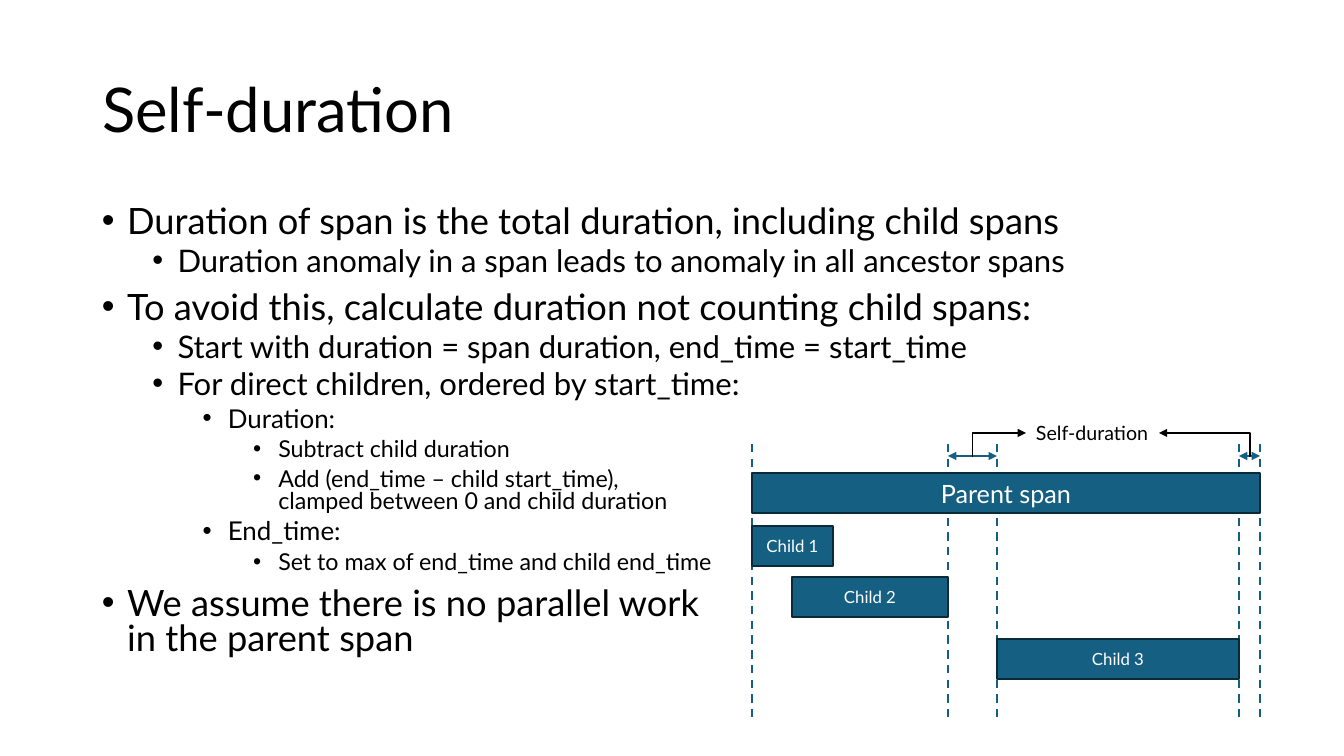
from lxml import etree
from pptx import Presentation
from pptx.dml.color import RGBColor
from pptx.enum.dml import MSO_LINE
from pptx.enum.shapes import MSO_CONNECTOR, MSO_SHAPE
from pptx.enum.text import MSO_ANCHOR, PP_ALIGN
from pptx.oxml.ns import qn
from pptx.util import Pt

STRAIGHT, ELBOW = MSO_CONNECTOR.STRAIGHT, MSO_CONNECTOR.ELBOW
RECT, DASH = MSO_SHAPE.RECTANGLE, MSO_LINE.DASH
MIDDLE, TOP = MSO_ANCHOR.MIDDLE, MSO_ANCHOR.TOP
LEFT, CENTER = PP_ALIGN.LEFT, PP_ALIGN.CENTER

BLACK = RGBColor(0x00, 0x00, 0x00)
WHITE = RGBColor(0xFF, 0xFF, 0xFF)
BLUE = RGBColor(0x15, 0x60, 0x82)
NAVY = RGBColor(0x09, 0x2A, 0x39)
FONT = "Lato"
PX = 914400 / 100.8

TITLE = "Self-duration"
BULLETS = [  # level, text
    (0, "Duration of span is the total duration, including child spans"),
    (1, "Duration anomaly in a span leads to anomaly in all ancestor spans"),
    (0, "To avoid this, calculate duration not counting child spans:"),
    (1, "Start with duration = span duration, end_time = start_time"),
    (1, "For direct children, ordered by start_time:"),
    (2, "Duration:"),
    (3, "Subtract child duration"),
    (3, "Add (end_time – child start_time),\nclamped between 0 and child duration"),
    (2, "End_time:"),
    (3, "Set to max of end_time and child end_time"),
    (0, "We assume there is no parallel work\nin the parent span"),
]
LEVEL_SIZES = [25.9, 22.2, 18.5, 16.6]
INDENT = 0.25 * 914400

SPANS = [  # text, start, end, top, font size
    ("Parent span", 752, 1260, 473, 18),
    ("Child 3", 997, 1239, 639, 12),
    ("Child 1", 752, 833, 526, 12),
    ("Child 2", 792, 948, 577, 12),
]
SPAN_HEIGHT = 40
GUIDES = [752, 948, 997, 1239, 1260]
GUIDE_TOP, GUIDE_BOTTOM = 444, 723
GAPS = [(948, 997), (1239, 1260)]
GAP_Y = 456
LABEL = (1026, 416, 133, 34)


def emu(*lengths):
    return [round(n * PX) for n in lengths]


def write(tf, text, size, color=BLACK, align=LEFT, anchor=TOP, spacing=1.0, wrap=True):
    tf.word_wrap = wrap
    tf.vertical_anchor = anchor
    p = tf.paragraphs[-1]
    p.text = text
    p.alignment = align
    p.line_spacing = spacing
    for r in p.runs:
        r.font.name = FONT
        r.font.size = Pt(size)
        r.font.color.rgb = color
    return p


def add_line(x1, y1, x2, y2, color=BLUE, width=1.5, kind=STRAIGHT, ends=(), bend=None):
    """Draw a line; ends lists headEnd/tailEnd arrows, bend is the elbow's adjustment."""
    line = s.shapes.add_connector(kind, *emu(x1, y1, x2, y2))
    line.line.color.rgb = color
    line.line.width = Pt(width)
    ln = line.line._get_or_add_ln()
    for end in ends:
        etree.SubElement(ln, qn(f"a:{end}"), type="triangle")
    etree.SubElement(line._element.spPr, qn("a:effectLst"))
    if bend is not None:
        av = line._element.spPr.find(qn("a:prstGeom")).find(qn("a:avLst"))
        etree.SubElement(av, qn("a:gd"), name="adj1", fmla=f"val {bend}")
    return line


def add_bullet(p, level):
    pPr = p._p.get_or_add_pPr()
    pPr.set("marL", str(round(INDENT * (1 + 2 * level))))
    pPr.set("indent", str(round(-INDENT)))
    etree.SubElement(pPr, qn("a:buFont"), typeface="Arial")
    etree.SubElement(pPr, qn("a:buChar"), char="•")


prs = Presentation()
prs.slide_width, prs.slide_height = emu(1344, 756)
s = prs.slides.add_slide(prs.slide_layouts[5])

title = s.shapes.title
title.left, title.top, title.width, title.height = emu(92, 40, 1159, 146)
write(title.text_frame, TITLE, 44, anchor=MIDDLE, spacing=0.9)

tf = s.shapes.add_textbox(*emu(92, 202, 1159, 480)).text_frame
for i, (level, text) in enumerate(BULLETS):
    if i:
        tf.add_paragraph()
    p = write(tf, text, LEVEL_SIZES[level], spacing=0.8)
    p.level = level
    p.space_before = Pt(5 if level else 10)
    add_bullet(p, level)

for x in GUIDES:
    add_line(x, GUIDE_TOP, x, GUIDE_BOTTOM).line.dash_style = DASH

for text, start, end, top, size in SPANS:
    sp = s.shapes.add_shape(RECT, *emu(start, top, end - start, SPAN_HEIGHT))
    sp.shadow.inherit = False
    sp.fill.solid()
    sp.fill.fore_color.rgb = BLUE
    sp.line.color.rgb = NAVY
    sp.line.width = Pt(1.5)
    write(sp.text_frame, text, size, WHITE, CENTER, MIDDLE)

label = s.shapes.add_textbox(*emu(*LABEL))
write(label.text_frame, "Self-duration", 14, wrap=False)

label_x, label_y, label_w, label_h = LABEL
sides = [(label_x, 500), (label_x + label_w, -500)]
for (start, end), (side_x, bend) in zip(GAPS, sides):
    add_line(start, GAP_Y, end, GAP_Y, ends=("headEnd", "tailEnd"))
    add_line((start + end) / 2, GAP_Y, side_x, label_y + label_h / 2,
             BLACK, 1, ELBOW, ("tailEnd",), bend)

prs.save("out.pptx")
